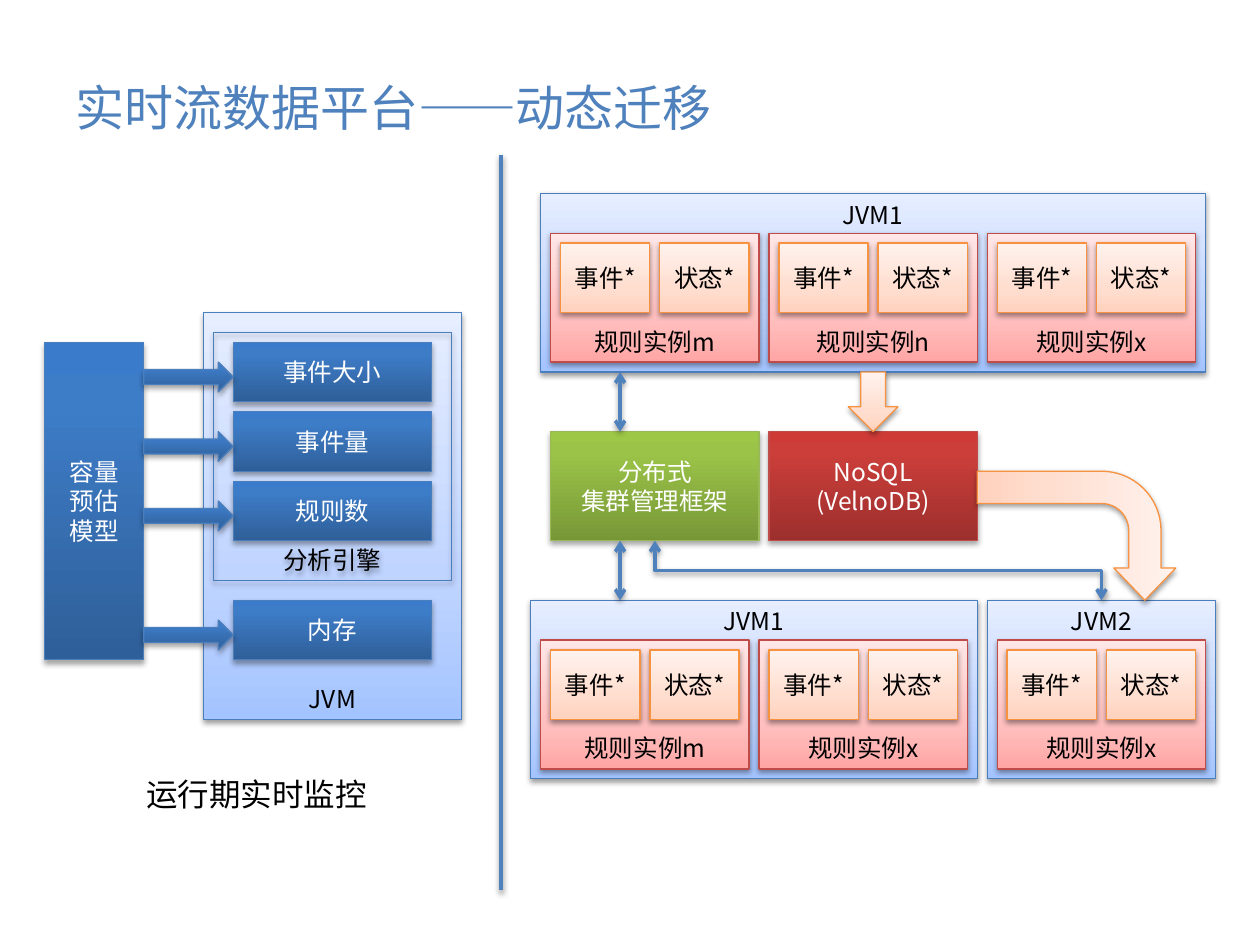
import pptx
import pptx.util
import pptx.enum.dml
import pptx.enum.shapes
import pptx.enum.text
import pptx.dml.color
import pptx.oxml
import pptx.oxml.ns
import lxml.etree

Pt = pptx.util.Pt
qn = pptx.oxml.ns.qn
KIND = pptx.enum.shapes.MSO_SHAPE
LINK = pptx.enum.shapes.MSO_CONNECTOR
SIDE = pptx.enum.text.PP_ALIGN
HOLD = pptx.enum.text.MSO_ANCHOR

COLORS = {
    "blue": "4F81BD", "edge": "4B7EBC", "rose": "BF4C48",
    "peach": "F69240", "lime": "98B955", "black": "000000", "white": "FFFFFF",
}
SOFT = (0, 35, 100)
DEEP = (0, 80, 100)
STYLES = {
    "host": (SOFT, ("A4C4FF", "BFD4FF", "E6EEFF"), "edge", "black"),
    "rule": (SOFT, ("FFA6A5", "FFC0BF", "FFE7E7"), "rose", "black"),
    "event": (SOFT, ("FFD2BD", "FFDED0", "FFF2ED"), "peach", "black"),
    "blue": (DEEP, ("2F5F99", "3D7CC7", "3A7CCB"), "edge", "white"),
    "green": (DEEP, ("779737", "9BC348", "9DC746"), "lime", "white"),
    "red": (DEEP, ("9C2F2D", "CB3E3A", "CE3B37"), "rose", "white"),
    "frame": (DEEP, None, "edge", "black"),
}


def tint(name):
    return pptx.dml.color.RGBColor.from_string(COLORS[name])


def write(frame, text, size=14, color="black", align=SIDE.CENTER,
          anchor=HOLD.MIDDLE, wrap=True, face="Noto Sans CJK SC"):
    frame.word_wrap = wrap
    frame.vertical_anchor = anchor
    for i, row in enumerate(text.split("\n")):
        para = frame.add_paragraph() if i else frame.paragraphs[0]
        para.alignment = align
        run = para.add_run()
        run.text = row
        run.font.size = Pt(size)
        run.font.name = face
        run.font.color.rgb = tint(color)
        east = lxml.etree.SubElement(run.font._element, qn("a:ea"))
        east.set("typeface", face)


class Board:
    unit = 5.67

    def __init__(self, deck):
        self.slide = deck.slides.add_slide(deck.slide_layouts[5])
        self.shapes = self.slide.shapes

    def span(self, n):
        return Pt(n * self.unit)

    def place(self, x, y, w, h):
        return (self.span(x + 0.5), self.span(y + 0.5), self.span(w), self.span(h))

    def shade(self, item, far, dark):
        item._element.spPr.append(pptx.oxml.parse_xml(
            f'<a:effectLst {pptx.oxml.ns.nsdecls("a")}>'
            f'<a:outerShdw blurRad="{Pt(3.15)}" dist="{Pt(far)}" dir="5400000" rotWithShape="0">'
            f'<a:srgbClr val="{COLORS["black"]}"><a:alpha val="{dark * 1000}"/></a:srgbClr>'
            '</a:outerShdw></a:effectLst>'))

    def title(self, text):
        item = self.shapes.title
        item.left, item.top, item.width, item.height = Pt(36), Pt(33.5), Pt(438), Pt(55.5)
        write(item.text_frame, text, size=28, color="blue", align=SIDE.LEFT)

    def label(self, x, y, w, h, text, **form):
        item = self.shapes.add_textbox(*self.place(x, y, w, h))
        write(item.text_frame, text, **form)

    def box(self, x, y, w, h, style, text="", kind=KIND.RECTANGLE, anchor=HOLD.MIDDLE):
        stops, shades, edge, ink = STYLES[style]
        item = self.shapes.add_shape(kind, *self.place(x, y, w, h))
        if shades:
            item.fill.gradient()
            item.fill.gradient_angle = 90
            ramp = item._element.spPr.find(".//" + qn("a:gsLst"))
            for old in list(ramp):
                ramp.remove(old)
            for stop, shade in zip(stops, shades):
                mark = lxml.etree.SubElement(ramp, qn("a:gs"), pos=str(stop * 1000))
                lxml.etree.SubElement(mark, qn("a:srgbClr"), val=shade)
        else:
            item.fill.background()
        item.line.color.rgb = tint(edge)
        item.line.width = Pt(0.75)
        self.shade(item, *((1.57, 38) if stops == SOFT else (1.81, 35)))
        if text:
            write(item.text_frame, text, color=ink, anchor=anchor)
        return item

    def line(self, x1, y1, x2, y2, heads=True, bent=False):
        ends = (x1, y1, x2, y2)
        if bent:
            mx, my = (x1 + x2) / 2, (y1 + y2) / 2
            dx, dy = (y2 - y1) / 2, (x2 - x1) / 2
            ends = (mx + dx, my - dy, mx - dx, my + dy)
        item = self.shapes.add_connector(
            LINK.ELBOW if bent else LINK.STRAIGHT, *[self.span(n + 0.5) for n in ends])
        if bent:
            item._element.spPr.find(qn("a:xfrm")).set("rot", str(270 * 60000))
        item.line.color.rgb = tint("blue")
        item.line.width = Pt(2)
        if heads:
            stroke = item._element.spPr.find(qn("a:ln"))
            for end in ("a:headEnd", "a:tailEnd"):
                lxml.etree.SubElement(stroke, qn(end), type="arrow")
        self.shade(item, 1.57, 38)

    def host(self, x, y, w, name, rules):
        self.box(x, y, w, 18, "host", name, anchor=HOLD.TOP)
        for i, rule in enumerate(rules):
            left = x + 1 + 22 * i
            self.box(left, y + 4, 21, 13, "rule", "规则实例" + rule, anchor=HOLD.BOTTOM)
            for j, part in enumerate(("事件*", "状态*")):
                self.box(left + 1 + 10 * j, y + 5, 9, 7, "event", part)


def main():
    deck = pptx.Presentation()
    deck.slide_width, deck.slide_height = Pt(720), Pt(540)
    board = Board(deck)
    board.title("实时流数据平台——动态迁移")

    board.box(20, 31, 26, 41, "host", "JVM", anchor=HOLD.BOTTOM)
    board.box(21, 33, 24, 25, "frame", "分析引擎", anchor=HOLD.BOTTOM)
    board.box(4, 34, 10, 32, "blue", "容量\n预估\n模型")
    for y, name in ((34, "事件大小"), (41, "事件量"), (48, "规则数"), (60, "内存")):
        board.box(23, y, 20, 6, "blue", name)
        board.box(14, y + 2, 9, 3, "blue", kind=KIND.RIGHT_ARROW)
    board.label(13, 77, 25, 5, "运行期实时监控", size=18, align=SIDE.LEFT,
                anchor=HOLD.TOP, wrap=False)
    board.line(50, 15.1, 50, 89.2, heads=False)

    board.host(54, 19, 67, "JVM1", "mnx")
    board.box(55, 43, 21, 11, "green", "分布式\n集群管理框架")
    board.box(77, 43, 21, 11, "red", "NoSQL\n(VelnoDB)")
    board.box(85, 37, 5, 6, "event", kind=KIND.DOWN_ARROW)
    board.host(53, 60, 45, "JVM1", "mx")
    board.host(99, 60, 23, "JVM2", "x")

    bend = board.box(101.5, 43.5, 13, 20, "event", kind=KIND.BENT_ARROW)
    bend.rotation = 90
    for i, size in enumerate((0.25, 0.24, 0.25, 0.46)):
        bend.adjustments[i] = size
    board.line(62, 37, 62, 43)
    board.line(62, 54, 62, 60)
    board.line(65.5, 54, 110.5, 60, bent=True)
    deck.save("out.pptx")


if __name__ == "__main__":
    main()
